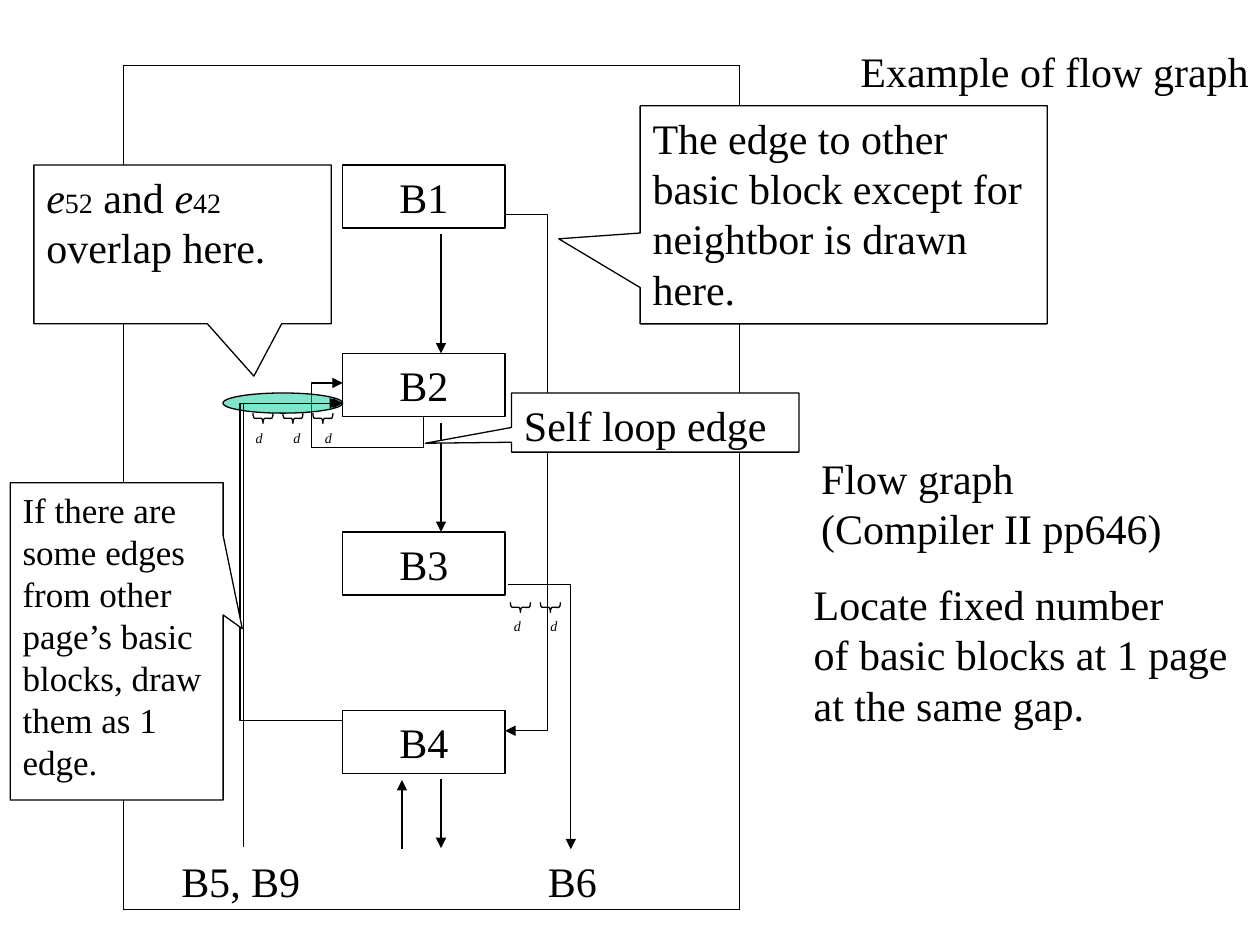
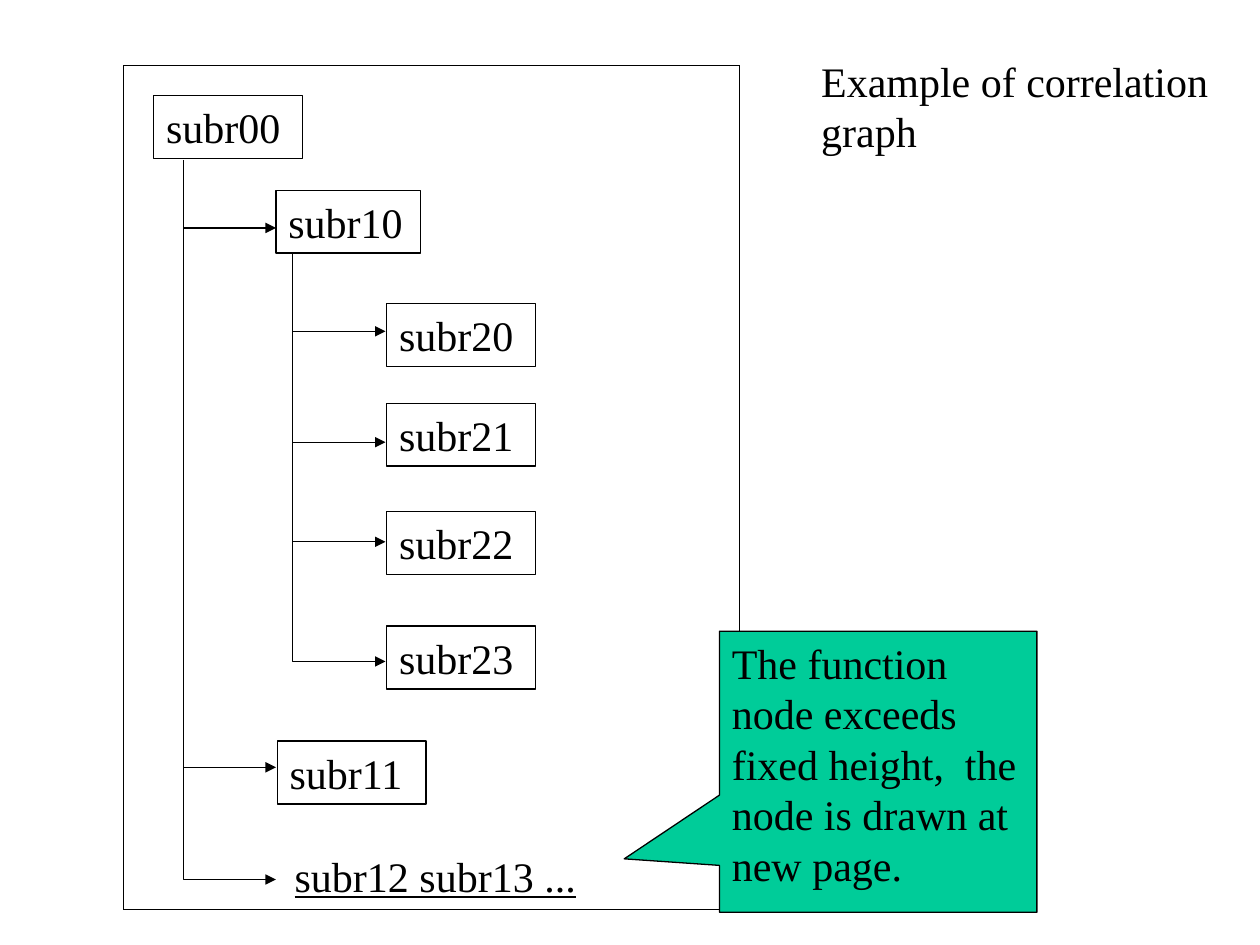
from lxml import etree
from pptx import Presentation
from pptx.dml.color import RGBColor
from pptx.enum.shapes import MSO_CONNECTOR, MSO_SHAPE
from pptx.enum.text import MSO_ANCHOR, MSO_AUTO_SIZE, PP_ALIGN
from pptx.oxml.ns import qn
from pptx.util import Pt

STRAIGHT = MSO_CONNECTOR.STRAIGHT
ELBOW = MSO_CONNECTOR.ELBOW
RECTANGLE = MSO_SHAPE.RECTANGLE
OVAL = MSO_SHAPE.OVAL
BRACE = MSO_SHAPE.RIGHT_BRACE
CALLOUT = MSO_SHAPE.RECTANGULAR_CALLOUT
TOP = MSO_ANCHOR.TOP
FIT_SHAPE = MSO_AUTO_SIZE.SHAPE_TO_FIT_TEXT
LEFT = PP_ALIGN.LEFT
CENTER = PP_ALIGN.CENTER

COLORS = {"ink": "000000", "paper": "FFFFFF", "accent": "00CC99"}
FONT = "Times New Roman"
LINE_WIDTH = 0.75
NODE_HEIGHT = 36


def rgb(name):
    return RGBColor.from_string(COLORS[name])


def format_run(run, size, italic=False, underline=False):
    run.font.name = FONT
    run.font.size = Pt(size)
    run.font.color.rgb = rgb("ink")
    run.font.italic = italic
    run.font.underline = underline


def write(frame, text, size=24, align=LEFT, **style):
    frame.text = text
    for paragraph in frame.paragraphs:
        paragraph.alignment = align
        for run in paragraph.runs:
            format_run(run, size, **style)


def add_label(slide, box, text, size=24, **style):
    label = slide.shapes.add_textbox(*map(Pt, box))
    label.text_frame.word_wrap = True
    label.text_frame.auto_size = FIT_SHAPE
    write(label.text_frame, text, size, **style)


def add_outlined(slide, kind, box, fill=None):
    shape = slide.shapes.add_shape(kind, *map(Pt, box))
    shape.shadow.inherit = False
    if fill:
        shape.fill.solid()
        shape.fill.fore_color.rgb = rgb(fill)
    else:
        shape.fill.background()
    shape.line.color.rgb = rgb("ink")
    shape.line.width = Pt(LINE_WIDTH)
    shape.text_frame.word_wrap = True
    shape.text_frame.vertical_anchor = TOP
    return shape


def add_node(slide, left, top, width, text, align=LEFT):
    node = add_outlined(slide, RECTANGLE, (left, top, width, NODE_HEIGHT))
    node.text_frame.auto_size = FIT_SHAPE
    write(node.text_frame, text, align=align)


def add_callout(slide, box, tip, text, size=24, fill="paper"):
    callout = add_outlined(slide, CALLOUT, box, fill)
    callout.adjustments[0], callout.adjustments[1] = tip
    write(callout.text_frame, text, size)
    return callout


def add_distance(slide, brace_left, brace_top, label_left, label_top):
    brace = add_outlined(slide, BRACE, (brace_left, brace_top, 5.8, 11.5))
    brace.rotation = 90
    brace.adjustments[0] = 0.17
    add_label(slide, (label_left, label_top, 20, 17.3), "d", 8, italic=True)


def style_connector(connector, arrow):
    connector.line.color.rgb = rgb("ink")
    connector.line.width = Pt(LINE_WIDTH)
    properties = connector._element.spPr
    if arrow:
        outline = properties.find(qn("a:ln"))
        etree.SubElement(outline, qn("a:tailEnd"), type="triangle")
    etree.SubElement(properties, qn("a:effectLst"))


def add_line(slide, start, end, arrow=False):
    line = slide.shapes.add_connector(STRAIGHT, *map(Pt, start + end))
    style_connector(line, arrow)


def add_elbow(slide, start, end, preset, rotation=0, flips="", bends=()):
    width, height = abs(end[0] - start[0]), abs(end[1] - start[1])
    if rotation in (90, 270):
        width, height = height, width
    left = (start[0] + end[0] - width) / 2
    top = (start[1] + end[1] - height) / 2
    elbow = slide.shapes.add_connector(
        ELBOW, Pt(left), Pt(top), Pt(left + width), Pt(top + height))
    transform = elbow._element.spPr.find(qn("a:xfrm"))
    if rotation:
        transform.set("rot", str(rotation * 60000))
    for axis in flips:
        transform.set("flip" + axis, "1")
    geometry = elbow._element.spPr.find(qn("a:prstGeom"))
    geometry.set("prst", preset)
    guides = geometry.find(qn("a:avLst"))
    for number, bend in enumerate(bends, 1):
        etree.SubElement(guides, qn("a:gd"), name=f"adj{number}",
                         fmla=f"val {round(bend * 100000)}")
    style_connector(elbow, arrow=True)


def add_branch(slide, start, end):
    add_elbow(slide, start, end, "bentConnector2", 270, "H")


def add_page_frame(slide):
    left, top, right, bottom = 70.6, 37.4, 422.6, 519.8
    corners = [(left, top), (right, top), (right, bottom), (left, bottom)]
    for start, end in zip(corners, corners[1:] + corners[:1]):
        add_line(slide, start, end)


def build_flow_graph(slide):
    add_page_frame(slide)
    add_label(slide, (484.6, 22.3, 238, 36), "Example of flow graph")
    add_label(slide, (462.2, 254.9, 216, 64.8),
              "Flow graph\n(Compiler II pp646)")
    add_label(slide, (457.9, 326.9, 260, 93.6),
              "Locate fixed number\nof basic blocks at 1 page\nat the same gap.")

    for name, top in (("B1", 94.3), ("B2", 202), ("B3", 304), ("B4", 406)):
        add_node(slide, 195.8, top, 92.9, name, CENTER)
    for start, end in ((133.9, 202), (241.9, 304), (445, 484.6)):
        add_line(slide, (252, start), (252, end), arrow=True)
    add_line(slide, (229.7, 485.3), (229.7, 445.7), arrow=True)

    add_elbow(slide, (241.9, 237.6), (195.8, 218.9), "bentConnector4",
              270, "V", (-0.98, 1.39))
    add_label(slide, (96.5, 485.3, 90, 36), "B5, B9")
    add_label(slide, (306, 485.3, 48, 36), "B6")

    add_callout(slide, (365.8, 60.5, 232.6, 124.6), (-0.7, 0.11),
                "The edge to other basic block except for neightbor "
                "is drawn here.")
    overlap = add_outlined(slide, OVAL, (127.4, 224.6, 68.4, 11.5), "accent")
    tint = overlap._element.spPr.find(qn("a:solidFill"))[0]
    etree.SubElement(tint, qn("a:alpha"), val="50000")

    overlap_note = add_callout(slide, (19.4, 94.3, 169.9, 90.7),
                               (0.24, 0.83), "")
    note_line = overlap_note.text_frame.paragraphs[0]
    for text, size, italic in (("e", 24, True), ("52", 16, False),
                               (" and ", 24, False), ("e", 24, True),
                               ("42", 16, False),
                               (" overlap here.", 24, False)):
        run = note_line.add_run()
        run.text = text
        format_run(run, size, italic)

    add_elbow(slide, (288.5, 122.4), (288.67, 417.6), "bentConnector3",
              bends=(144,))
    add_elbow(slide, (290.2, 334.1), (326.2, 485.3), "bentConnector2")
    for brace_left, label_left in ((294.5, 286.6), (311.6, 307.4)):
        add_distance(slide, brace_left, 341.3, label_left, 349.2)
    for index, label_left in enumerate((139, 160.6, 178.6)):
        add_distance(slide, 147.4 + 17.1 * index, 233.3, label_left, 241.9)

    add_elbow(slide, (139, 483.8), (194.4, 230.4), "bentConnector2", 90, "HV")
    add_elbow(slide, (195.8, 411.8), (196, 230.4), "bentConnector3",
              180, "H", (-296,))
    add_callout(slide, (292.3, 224.6, 164.2, 33.8), (-0.8, 0.35),
                "Self loop edge")
    add_callout(slide, (5.8, 275.8, 121.7, 181.4), (0.59, -0.04),
                "If there are some edges from other page’s basic blocks, "
                "draw them as 1 edge.", 20)


def build_correlation_graph(slide):
    add_page_frame(slide)
    add_label(slide, (462.2, 28.1, 244, 64.8),
              "Example of correlation\ngraph")

    add_node(slide, 87.8, 54.7, 85, "subr00")
    add_node(slide, 157.7, 108.7, 82.8, "subr10")
    for name, top in (("subr20", 173.5), ("subr21", 230.4),
                      ("subr22", 292.3), ("subr23", 357.8)):
        add_node(slide, 221, top, 85, name)
    add_node(slide, 158.4, 423.4, 85, "subr11")
    add_label(slide, (161.3, 482.4, 198.7, 36), "subr12 subr13 ...",
              underline=True)

    for start, end in ((91.4, 130.3), (116.6, 438.5), (180.7, 502.6)):
        add_branch(slide, (105.1, start), (157.7, end))
    for start, end in ((145, 189.4), (145, 252.7),
                       (202.3, 309.6), (270, 378)):
        add_branch(slide, (167, start), (220.3, end))

    add_callout(slide, (411.1, 360.7, 181.4, 160.6), (-0.8, 0.31),
                "The function node exceeds fixed height,  the node is drawn "
                "at new page.", fill="accent")


def main():
    presentation = Presentation()
    presentation.slide_width = Pt(720)
    presentation.slide_height = Pt(540)
    blank = presentation.slide_layouts[6]
    for build in (build_flow_graph, build_correlation_graph):
        build(presentation.slides.add_slide(blank))
    presentation.save("out.pptx")


if __name__ == "__main__":
    main()
